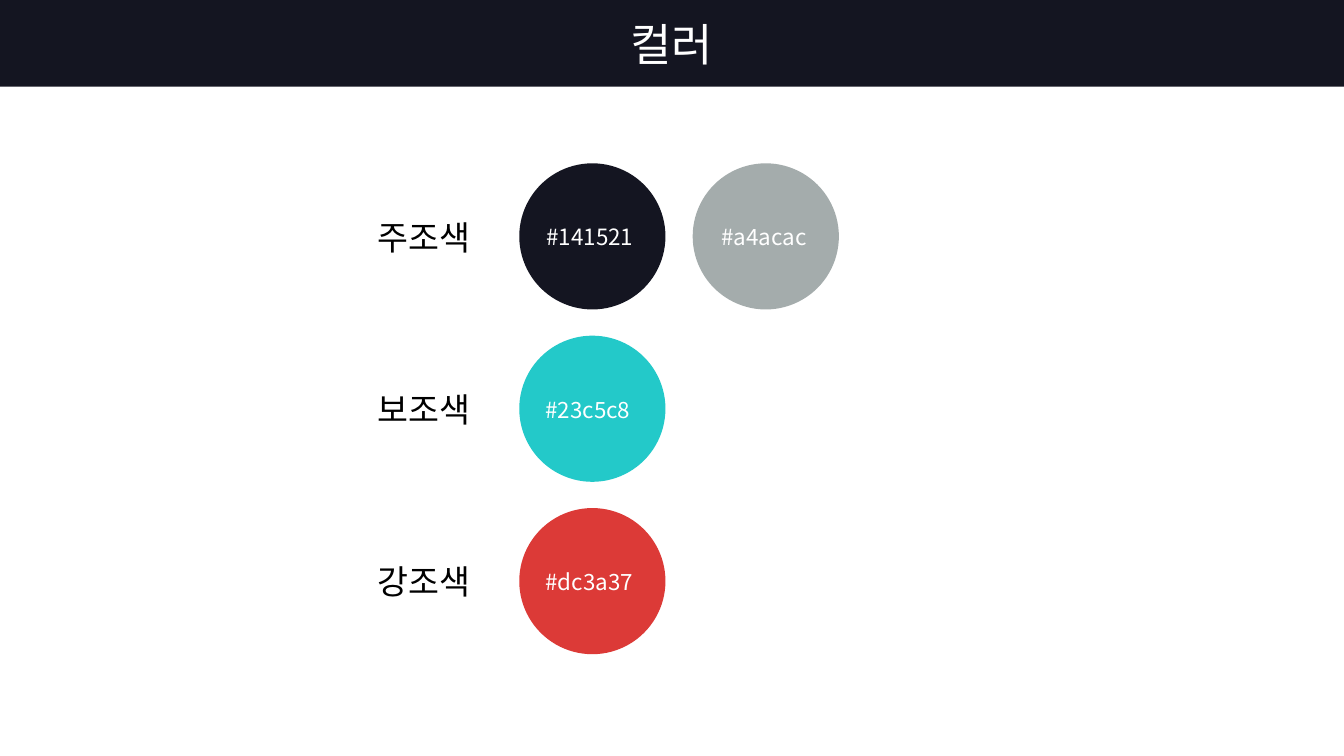
from pptx import Presentation
from pptx.dml.color import RGBColor
from pptx.enum.shapes import MSO_SHAPE as SHAPE
from pptx.enum.text import MSO_ANCHOR as ANCHOR, MSO_AUTO_SIZE as AUTO, PP_ALIGN as ALIGN
from pptx.oxml.ns import qn
from pptx.util import Inches, Pt

FONT = "Noto Sans CJK KR"
NAVY = RGBColor(0x14, 0x15, 0x21)
GRAY = RGBColor(0xA4, 0xAC, 0xAC)
TEAL = RGBColor(0x23, 0xC9, 0xC9)
RED = RGBColor(0xDC, 0x3A, 0x37)
WHITE = RGBColor(0xFF, 0xFF, 0xFF)
BLACK = RGBColor(0x00, 0x00, 0x00)

SLIDE_WIDTH, SLIDE_HEIGHT = 13.33, 7.5
HEADER_HEIGHT = 0.86
CIRCLE, ROW_PITCH, SWATCH_PITCH = 1.45, 1.71, 1.72
CODE_HEIGHT = 0.4

# Row label, then (code, colour, code box width) for each swatch
PALETTE = [
    ("주조색", [("#141521", NAVY, 1.17), ("#a4acac", GRAY, 1.14)]),
    ("보조색", [("#23c5c8", TEAL, 1.19)]),
    ("강조색", [("#dc3a37", RED, 1.19)]),
]


def add_filled(shapes, kind, left, top, width, height, color):
    shape = shapes.add_shape(kind, Inches(left), Inches(top), Inches(width), Inches(height))
    shape.shadow.inherit = False
    shape.fill.solid()
    shape.fill.fore_color.rgb = color
    shape.line.fill.background()


def add_text(shapes, text, left, top, width, height, size, color, inset=(0.13, 0.07)):
    box = shapes.add_textbox(Inches(left), Inches(top), Inches(width), Inches(height))
    frame = box.text_frame
    frame.margin_left = frame.margin_right = Inches(inset[0])
    frame.margin_top = frame.margin_bottom = Inches(inset[1])
    frame.word_wrap = False
    frame.auto_size = AUTO.SHAPE_TO_FIT_TEXT
    frame.text = text
    font = frame.paragraphs[0].runs[0].font
    font.size = Pt(size)
    font.color.rgb = color
    font.name = FONT
    # Hangul takes the East Asian typeface
    east_asian = font._element.makeelement(qn("a:ea"), {"typeface": FONT})
    font._element.append(east_asian)
    return frame


def add_header(slide, left, top, width, height):
    add_filled(slide.shapes, SHAPE.RECTANGLE, left, top, width, height, NAVY)
    title = add_text(slide.shapes, "컬러", left, top, width, height, 32, WHITE)
    title.auto_size = AUTO.NONE
    title.word_wrap = True
    title.vertical_anchor = ANCHOR.MIDDLE
    title.paragraphs[0].alignment = ALIGN.CENTER


def add_swatch(slide, left, top, code, color, code_width):
    swatch = slide.shapes.add_group_shape().shapes
    add_filled(swatch, SHAPE.OVAL, left, top, CIRCLE, CIRCLE, color)
    add_text(swatch, code, left + (CIRCLE - code_width) / 2,
             top + (CIRCLE - CODE_HEIGHT) / 2, code_width, CODE_HEIGHT, 16, WHITE)


def add_palette(slide, left, top):
    for row, (label, swatches) in enumerate(PALETTE):
        row_top = top + row * ROW_PITCH
        add_text(slide.shapes, label, left, row_top + 0.48, 1.13, 0.5, 24, BLACK, (0.1, 0.05))
        for column, swatch in enumerate(swatches):
            add_swatch(slide, left + 1.5 + column * SWATCH_PITCH, row_top, *swatch)


def main():
    deck = Presentation()
    deck.slide_width, deck.slide_height = Inches(SLIDE_WIDTH), Inches(SLIDE_HEIGHT)
    slide = deck.slides.add_slide(deck.slide_layouts[6])
    add_header(slide, 0, 0, SLIDE_WIDTH, HEADER_HEIGHT)
    add_palette(slide, 3.65, 1.62)
    deck.save("out.pptx")


if __name__ == "__main__":
    main()
